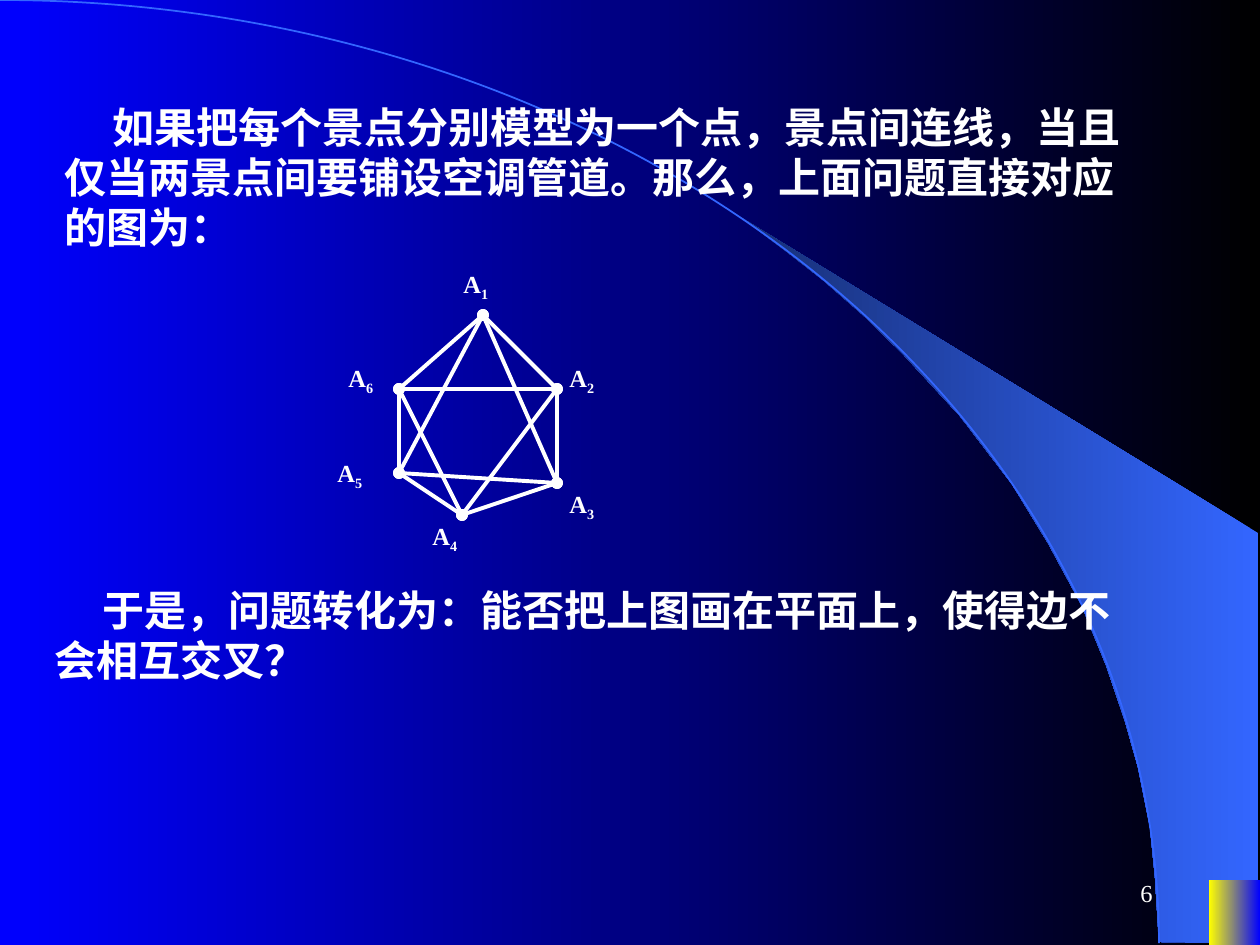
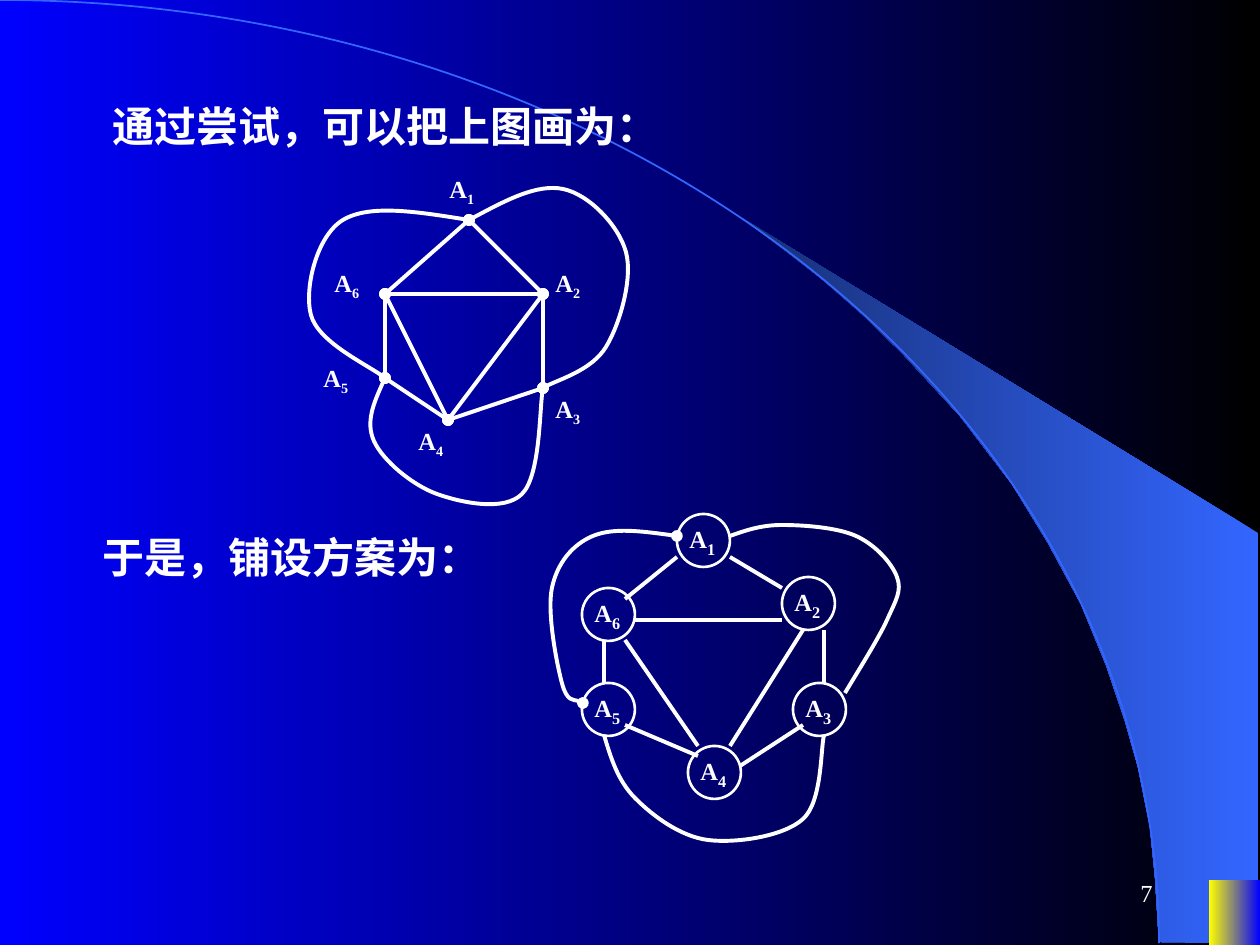
from lxml import etree
from pptx import Presentation
from pptx import util as u
from pptx.dml.color import RGBColor
from pptx.enum import lang, shapes, text
from pptx.oxml.ns import qn

PX = 914400 / 126
WHITE = RGBColor(0xFF, 0xFF, 0xFF)
BLACK = RGBColor(0x00, 0x00, 0x00)
BLUE = RGBColor(0x00, 0x00, 0xFF)
SKY = RGBColor(0x33, 0x66, 0xFF)
NAVY = RGBColor(0x17, 0x2F, 0x75)
YELLOW = RGBColor(0xFF, 0xFF, 0x00)
FONT = "Times New Roman"

SWOOSH = [(1159, 942), (1258, 943), (1258, 533), (742, 218), (786, 251), (823, 280),
          (863, 315), (902, 353), (960, 416), (1012, 484), (1048, 543), (1081, 604),
          (1106, 665), (1125, 721), (1138, 767), (1150, 827), (1155, 877)]

VERTICES = {1: (158, 52), 2: (232, 126), 3: (232, 220),
            4: (137, 252), 5: (74, 210), 6: (74, 126)}
LABELS = {1: (126, 0), 2: (232, 94), 3: (232, 220),
          4: (95, 252), 5: (0, 189), 6: (11, 94)}
PLANAR_EDGES = [(1, 2), (2, 3), (3, 4), (4, 5), (5, 6), (6, 1), (6, 2), (6, 4), (2, 4)]
CROSSING_EDGES = [(1, 3), (3, 5), (5, 1)]
DETOURS = [(1, [(32, 52), (0, 147)], 5),
           (1, [(252, 21), (315, 84), (295, 179)], 3),
           (5, [(63, 273), (126, 326), (211, 326)], 3)]

SPOT_SIZE = 53
SPOTS = {1: (132, 0), 2: (237, 63), 3: (248, 169),
         4: (143, 232), 5: (37, 169), 6: (37, 74)}
DUCTS = [((185, 43), (237, 74)), ((132, 43), (80, 85)), ((90, 106), (237, 106)),
         ((80, 126), (153, 232)), ((258, 116), (185, 232)), ((279, 116), (279, 169)),
         ((195, 252), (258, 211)), ((80, 211), (153, 242)), ((59, 126), (59, 169))]
OUTER_DUCTS = [
    ([(132, 22), (48, 22), (7, 74), (17, 169), (38, 189)], True),
    ([(185, 22), (237, 11), (311, 22), (352, 63), (342, 106), (300, 179)], False),
    ([(59, 221), (90, 284), (163, 326), (258, 305), (279, 221)], False)]


def emu(px):
    return u.Emu(round(px * PX))


def shift(origin, point):
    return origin[0] + point[0], origin[1] + point[1]


def paint_gradient(fill, first, last):
    fill.gradient()
    fill.gradient_angle = 180
    for stop, color in zip(fill.gradient_stops, (first, last)):
        stop.color.rgb = color


def style_line(item, color=WHITE, width=2.25, dots=False):
    item.line.color.rgb = color
    item.line.width = u.Pt(width)
    if dots:
        outline = item.line._get_or_add_ln()
        for end in ("a:headEnd", "a:tailEnd"):
            etree.SubElement(outline, qn(end), type="oval")


def add_text(slide, box, content, size=14, bold=True, align=text.PP_ALIGN.LEFT,
             anchor=text.MSO_ANCHOR.TOP, indent=0, subscript="", subscript_size=14):
    frame = slide.shapes.add_textbox(*map(emu, box)).text_frame
    frame.word_wrap = True
    frame.vertical_anchor = anchor
    paragraph = frame.paragraphs[0]
    paragraph.alignment = align
    if indent:
        properties = paragraph._p.get_or_add_pPr()
        properties.set("marL", "0")
        properties.set("indent", str(emu(indent)))
    for words, points, baseline in ((content, size, 0), (subscript, subscript_size, -25000)):
        if not words:
            continue
        run = paragraph.add_run()
        run.text = words
        font = run.font
        font.name, font.size, font.bold = FONT, u.Pt(points), bold
        font.color.rgb = WHITE
        font.language_id = lang.MSO_LANGUAGE_ID.SIMPLIFIED_CHINESE
        if baseline:
            run._r.get_or_add_rPr().set("baseline", str(baseline))


def add_preset(slide, kind, box):
    preset = slide.shapes.add_shape(kind, *map(emu, box))
    preset.shadow.inherit = False
    preset.fill.background()
    return preset


def add_edge(slide, start, end, dots=False):
    edge = slide.shapes.add_connector(
        shapes.MSO_CONNECTOR.STRAIGHT, *map(emu, (*start, *end)))
    style_line(edge, dots=dots)
    etree.SubElement(edge._element.spPr, qn("a:effectLst"))


def add_outline(slide, points, close=False):
    corners = [(emu(x), emu(y)) for x, y in points]
    builder = slide.shapes.build_freeform(*corners[0])
    builder.add_line_segments(corners[1:], close=close)
    outline = builder.convert_to_shape()
    outline.shadow.inherit = False
    outline.fill.background()
    return outline


def with_handles(points):
    last = len(points) - 1
    chain = [points[0]]
    for i in range(last):
        before, start, end = points[max(i - 1, 0)], points[i], points[i + 1]
        after = points[min(i + 2, last)]
        push = tuple(e - (a - s) / 6 for s, e, a in zip(start, end, after))
        if i:
            pull = tuple(s + (e - b) / 6 for b, s, e in zip(before, start, end))
        else:
            pull = tuple((s + p) / 2 for s, p in zip(start, push))
        chain += [pull, push, end]
    return chain


def bend(outline):
    segments = list(outline._element.iter(qn("a:lnTo")))
    for pull, push, end in zip(segments[::3], segments[1::3], segments[2::3]):
        pull.addprevious(curve := etree.Element(qn("a:cubicBezTo")))
        for segment in (pull, push, end):
            curve.append(segment[0])
            segment.getparent().remove(segment)


def add_curve(slide, origin, points, dots):
    curve = add_outline(slide, with_handles([shift(origin, p) for p in points]))
    bend(curve)
    style_line(curve, dots=dots)


def draw_backdrop(slide, number):
    swoosh = add_outline(slide, SWOOSH, close=True)
    paint_gradient(swoosh.fill, SKY, NAVY)
    swoosh.line.fill.background()
    arc = add_preset(slide, shapes.MSO_SHAPE.ARC, (-1159, 0, 2318, 1886))
    style_line(arc, SKY, 1)
    corner = add_preset(slide, shapes.MSO_SHAPE.RECTANGLE, (1209, 880, 51, 65))
    paint_gradient(corner.fill, BLUE, YELLOW)
    corner.line.fill.background()
    add_text(slide, (903, 861, 262, 63), str(number), bold=False,
             align=text.PP_ALIGN.RIGHT, anchor=text.MSO_ANCHOR.MIDDLE)


def draw_statement(slide, left, top, height, content):
    add_text(slide, (left, top, 1113, height), content, size=24, indent=48)


def draw_graph(slide, origin, edges, detours=()):
    for a, b in edges:
        add_edge(slide, shift(origin, VERTICES[a]), shift(origin, VERTICES[b]), dots=True)
    for number, corner in LABELS.items():
        add_text(slide, (*shift(origin, corner), 76, 47), "A", subscript=str(number))
    for a, via, b in detours:
        add_curve(slide, origin, [VERTICES[a], *via, VERTICES[b]], dots=True)


def draw_duct_plan(slide, origin):
    for number, corner in SPOTS.items():
        left, top = shift(origin, corner)
        spot = add_preset(slide, shapes.MSO_SHAPE.OVAL, (left, top, SPOT_SIZE, SPOT_SIZE))
        style_line(spot, width=1.5)
        add_text(slide, (left, top, 66, 52), "A", subscript=str(number), subscript_size=16)
    for start, end in DUCTS:
        add_edge(slide, shift(origin, start), shift(origin, end))
    for points, dots in OUTER_DUCTS:
        add_curve(slide, origin, points, dots)


def build_model_slide(slide):
    draw_backdrop(slide, 6)
    draw_statement(slide, 52, 95, 164, "如果把每个景点分别模型为一个点，景点间连线，当且"
                   "仅当两景点间要铺设空调管道。那么，上面问题直接对应的图为：")
    draw_graph(slide, (325, 263), PLANAR_EDGES + CROSSING_EDGES)
    draw_statement(slide, 42, 578, 113,
                   "于是，问题转化为：能否把上图画在平面上，使得边不会相互交叉？")


def build_solution_slide(slide):
    draw_backdrop(slide, 7)
    draw_statement(slide, 52, 94, 63, "通过尝试，可以把上图画为：")
    draw_statement(slide, 42, 525, 63, "于是，铺设方案为：")
    draw_graph(slide, (311, 168), PLANAR_EDGES, DETOURS)
    draw_duct_plan(slide, (545, 514))


def main():
    deck = Presentation()
    deck.slide_width, deck.slide_height = emu(1260), emu(945)
    paint_gradient(deck.slide_master.background.fill, BLACK, BLUE)
    for build in (build_model_slide, build_solution_slide):
        build(deck.slides.add_slide(deck.slide_layouts[6]))
    deck.save("out.pptx")


if __name__ == "__main__":
    main()
